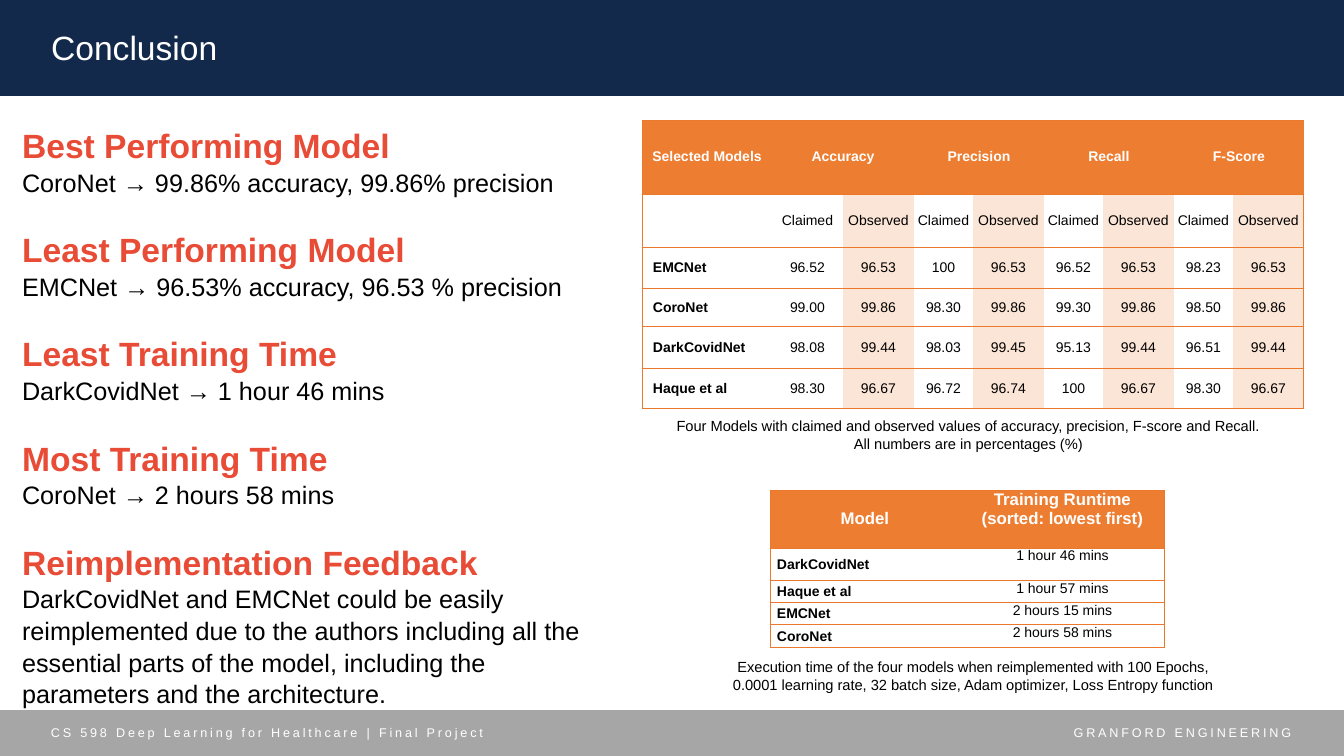
from lxml.etree import SubElement
from pptx import Presentation
from pptx.dml.color import RGBColor
from pptx.enum.shapes import MSO_SHAPE
from pptx.enum.text import MSO_ANCHOR, MSO_AUTO_SIZE, PP_ALIGN
from pptx.oxml.ns import qn
from pptx.util import Pt

PX = 914400 / 100.8
FONT = "Arial"
NAVY = RGBColor(0x13, 0x29, 0x4B)
GREY = RGBColor(0xA6, 0xA6, 0xA6)
WHITE = RGBColor(0xFF, 0xFF, 0xFF)
BLACK = RGBColor(0, 0, 0)
RED = RGBColor(0xE8, 0x4B, 0x36)
ORANGE = RGBColor(0xED, 0x7D, 0x31)
PEACH = RGBColor(0xFB, 0xE5, 0xD6)
RULE = RGBColor(0xEC, 0x79, 0x2B)

FINDINGS = [
    ("Best Performing Model", "CoroNet → 99.86% accuracy, 99.86% precision"),
    ("Least Performing Model", "EMCNet → 96.53% accuracy, 96.53 % precision"),
    ("Least Training Time", "DarkCovidNet → 1 hour 46 mins"),
    ("Most Training Time", "CoroNet → 2 hours 58 mins"),
    ("Reimplementation Feedback",
     "DarkCovidNet and EMCNet could be easily reimplemented due to the authors "
     "including all the essential parts of the model, including the parameters "
     "and the architecture."),
]
METRICS = ["Accuracy", "Precision", "Recall", "F-Score"]
SCORES = [
    ("EMCNet", "96.52", "96.53", "100", "96.53", "96.52", "96.53", "98.23", "96.53"),
    ("CoroNet", "99.00", "99.86", "98.30", "99.86", "99.30", "99.86", "98.50", "99.86"),
    ("DarkCovidNet", "98.08", "99.44", "98.03", "99.45", "95.13", "99.44", "96.51", "99.44"),
    ("Haque et al", "98.30", "96.67", "96.72", "96.74", "100", "96.67", "98.30", "96.67"),
]
RUNTIMES = [
    ("DarkCovidNet", "1 hour 46 mins"),
    ("Haque et al", "1 hour 57 mins"),
    ("EMCNet", "2 hours 15 mins"),
    ("CoroNet", "2 hours 58 mins"),
]
CAPTIONS = [
    ((718, 653, 511, 45),
     ["Execution time of the four models when reimplemented with 100 Epochs,",
      "0.0001 learning rate, 32 batch size, Adam optimizer, Loss Entropy function"]),
    ((643, 412, 651, 45),
     ["Four Models with claimed and observed values of accuracy, precision, F-score and Recall.",
      "All numbers are in percentages (%)"]),
]
FOOTERS = [
    ((41, 720, 709, 25), "CS 598 Deep Learning for Healthcare | Final Project", PP_ALIGN.LEFT),
    ((1029, 720, 272, 25), "GRANFORD ENGINEERING", PP_ALIGN.RIGHT),
]
SCORE_COLUMNS = [130, 71, 71] + [59, 71] * 3
SCORE_ROWS = [74, 53, 42, 38, 42, 40]
RUNTIME_COLUMNS = [190, 205]
RUNTIME_ROWS = [58, 33, 22, 22, 23]


def px(length):
    return round(length * PX)


def box(*lengths):
    return [px(length) for length in lengths]


def write(frame, lines, size, color, bold=False, align=PP_ALIGN.LEFT, tracking=None):
    for index, line in enumerate(lines):
        paragraph = frame.paragraphs[0] if index == 0 else frame.add_paragraph()
        paragraph.alignment = align
        add_run(paragraph, line, size, color, bold, tracking)


def add_run(paragraph, words, size, color, bold, tracking=None):
    run = paragraph.add_run()
    run.text = words
    run.font.name, run.font.size, run.font.bold = FONT, Pt(size), bold
    run.font.color.rgb = color
    if tracking:
        run._r.get_or_add_rPr().set("spc", str(tracking))


def add_band(slide, top, height, color):
    band = slide.shapes.add_shape(MSO_SHAPE.RECTANGLE, *box(0, top, 1344, height))
    band.shadow.inherit = False
    band.fill.solid()
    band.fill.fore_color.rgb = color
    band.line.fill.background()
    return band


def add_label(slide, place, lines, size, color, align, tracking=None):
    label = slide.shapes.add_textbox(*box(*place))
    label.text_frame.word_wrap = True
    write(label.text_frame, lines, size, color, align=align, tracking=tracking)


def add_grid(slide, left, top, columns, rows):
    frame = slide.shapes.add_table(
        len(rows), len(columns), *box(left, top, sum(columns), sum(rows)))
    grid = frame.table
    grid.horz_banding = False
    for column, width in zip(grid.columns, columns):
        column.width = px(width)
    for row, height in zip(grid.rows, rows):
        row.height = px(height)
    for r in range(len(rows)):
        for c in range(len(columns)):
            sides = {"L": c == 0, "R": c == len(columns) - 1, "T": True, "B": True}
            style_cell(grid.cell(r, c), sides, ORANGE if r == 0 else None)
    return grid


def style_cell(cell, sides, color):
    cell.margin_left = cell.margin_right = cell.margin_top = cell.margin_bottom = 0
    cell.vertical_anchor = MSO_ANCHOR.MIDDLE
    properties = cell._tc.get_or_add_tcPr()
    for side, ruled in sides.items():
        edge = SubElement(properties, qn(f"a:ln{side}"), w=str(Pt(0.75)))
        if ruled:
            SubElement(SubElement(edge, qn("a:solidFill")), qn("a:srgbClr"), val=str(RULE))
        else:
            SubElement(edge, qn("a:noFill"))
    shade(cell, color)


def shade(cell, color):
    if color is None:
        cell.fill.background()
    else:
        cell.fill.solid()
        cell.fill.fore_color.rgb = color


def add_scores(slide):
    scores = add_grid(slide, 642, 120, SCORE_COLUMNS, SCORE_ROWS)
    write(scores.cell(0, 0).text_frame, ["Selected Models"], 10, WHITE, True, PP_ALIGN.CENTER)
    for index, metric in enumerate(METRICS):
        claimed = 1 + 2 * index
        heading = scores.cell(0, claimed)
        heading.merge(scores.cell(0, claimed + 1))
        write(heading.text_frame, [metric], 10, WHITE, True, PP_ALIGN.CENTER)
    for r, values in enumerate([("",) + ("Claimed", "Observed") * 4] + SCORES, 1):
        for c, value in enumerate(values):
            cell = scores.cell(r, c)
            if c == 0:
                cell.margin_left = px(11)
            elif c % 2 == 0:
                shade(cell, PEACH)
            if value:
                write(cell.text_frame, [value], 10, BLACK, c == 0,
                      PP_ALIGN.CENTER if c else PP_ALIGN.LEFT)


def add_runtimes(slide):
    runtimes = add_grid(slide, 770, 490, RUNTIME_COLUMNS, RUNTIME_ROWS)
    headings = [["Model"], ["Training Runtime", "(sorted: lowest first)"]]
    for c, lines in enumerate(headings):
        write(runtimes.cell(0, c).text_frame, lines, 12, WHITE, True, PP_ALIGN.CENTER)
    runtimes.cell(0, 1).vertical_anchor = MSO_ANCHOR.TOP
    for r, (model, duration) in enumerate(RUNTIMES, 1):
        runtimes.cell(r, 0).margin_left = px(7)
        write(runtimes.cell(r, 0).text_frame, [model], 10, BLACK, True)
        runtimes.cell(r, 1).vertical_anchor = MSO_ANCHOR.TOP
        write(runtimes.cell(r, 1).text_frame, [duration], 10, BLACK, align=PP_ALIGN.CENTER)


def place_text(placeholder, place):
    placeholder.left, placeholder.top, placeholder.width, placeholder.height = box(*place)
    placeholder.text_frame.auto_size = MSO_AUTO_SIZE.NONE
    placeholder.text_frame.word_wrap = True
    return placeholder.text_frame


def add_findings(frame):
    lines = [(words, part) for finding in FINDINGS for part, words in enumerate(finding)]
    for index, (words, part) in enumerate(lines):
        paragraph = frame.paragraphs[0] if index == 0 else frame.add_paragraph()
        paragraph.alignment = PP_ALIGN.LEFT
        paragraph.line_spacing = 1.05
        paragraph.space_before = Pt(21.5 if index and part == 0 else 0)
        properties = paragraph._p.get_or_add_pPr()
        properties.set("marL", "0")
        properties.set("indent", "0")
        SubElement(properties, qn("a:buNone"))
        size, color = ((24, RED), (18, BLACK))[part]
        add_run(paragraph, words, size, color, part == 0)


def main():
    """Build the conclusion slide of the model comparison."""
    deck = Presentation()
    deck.slide_width, deck.slide_height = box(1344, 756)
    slide = deck.slides.add_slide(deck.slide_layouts[1])
    title, findings = slide.shapes.title, slide.placeholders[1]
    add_band(slide, 710, 46, GREY)
    for place, words, align in FOOTERS:
        add_label(slide, place, [words], 9, WHITE, align, 200)
    banner = add_band(slide, 0, 96, NAVY)
    banner.element.addnext(title.element)
    title.element.addnext(findings.element)
    write(place_text(title, (41, 22, 1203, 50)), ["Conclusion"], 24, WHITE)
    add_findings(place_text(findings, (12, 118, 614, 580)))
    add_scores(slide)
    add_runtimes(slide)
    for place, lines in CAPTIONS:
        add_label(slide, place, lines, 10.5, BLACK, PP_ALIGN.CENTER)
    deck.save("out.pptx")


if __name__ == "__main__":
    main()
